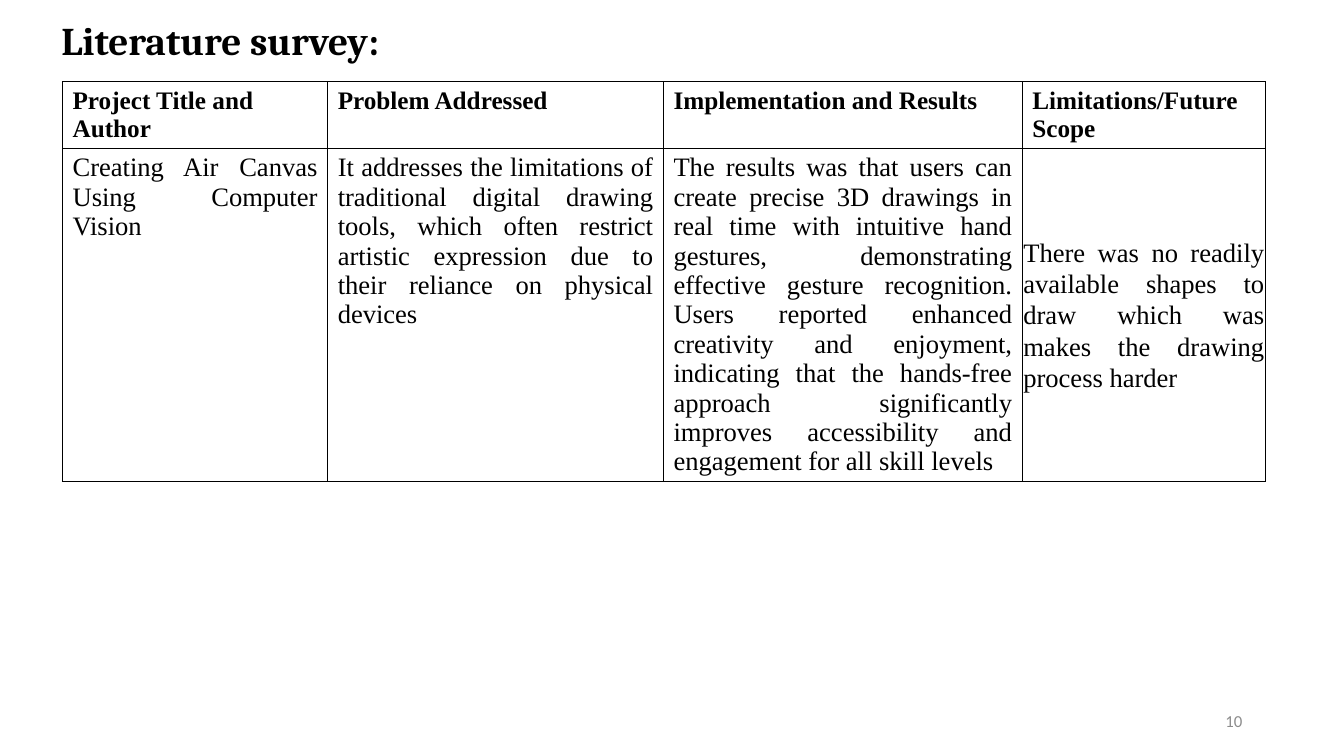
from lxml.etree import SubElement
from pptx import Presentation
from pptx.dml.color import RGBColor
from pptx.enum.text import MSO_ANCHOR as ANCHOR, PP_ALIGN as ALIGN
from pptx.oxml.ns import qn
from pptx.util import Inches, Pt

COLORS = {"text": "000000", "border": "000000", "cell": "FFFFFF", "number": "8C8C8C"}
SERIF = "Times New Roman"
COL_WIDTHS = [2.63, 3.33, 3.56, 2.41]
ROW_HEIGHTS = [0.66, 3.31]
HEADERS = ["Project Title and Author", "Problem Addressed",
           "Implementation and Results", "Limitations/Future Scope"]
SURVEY = [
    "Creating Air Canvas Using Computer Vision",
    "It addresses the limitations of traditional digital drawing tools, which often "
    "restrict artistic expression due to their reliance on physical devices",
    "The results was that users can create precise 3D drawings in real time with "
    "intuitive hand gestures, demonstrating effective gesture recognition. Users "
    "reported enhanced creativity and enjoyment, indicating that the hands-free "
    "approach significantly improves accessibility and engagement for all skill levels",
    "There was no readily available shapes to draw which was makes the drawing "
    "process harder",
]


def write(tf, text, font=SERIF, size=18, bold=False, color="text", align=ALIGN.LEFT):
    tf.word_wrap = True
    p = tf.paragraphs[0]
    p.alignment = align
    r = p.add_run()
    r.text = text
    r.font.name = font
    r.font.size = Pt(size)
    r.font.bold = bold
    r.font.color.rgb = RGBColor.from_string(COLORS[color])
    return p


def add_label(slide, box, text, anchor=ANCHOR.TOP, **fmt):
    sp = slide.shapes.add_textbox(*map(Inches, box))
    sp.text_frame.vertical_anchor = anchor
    write(sp.text_frame, text, **fmt)


def style_cell(cell):
    tcPr = cell._tc.get_or_add_tcPr()
    for side in ("lnL", "lnR", "lnT", "lnB"):
        ln = SubElement(tcPr, qn(f"a:{side}"), w=str(Pt(1)))
        fill = SubElement(ln, qn("a:solidFill"))
        SubElement(fill, qn("a:srgbClr"), val=COLORS["border"])
    cell.fill.solid()
    cell.fill.fore_color.rgb = RGBColor.from_string(COLORS["cell"])


def add_survey_table(slide, left, top):
    size = (sum(COL_WIDTHS), sum(ROW_HEIGHTS))
    table = slide.shapes.add_table(len(ROW_HEIGHTS), len(COL_WIDTHS),
                                   *map(Inches, (left, top, *size))).table
    table.horz_banding = False
    table.first_row = False
    for row, height in zip(table.rows, ROW_HEIGHTS):
        row.height = Inches(height)
    for i, width in enumerate(COL_WIDTHS):
        table.columns[i].width = Inches(width)
        header, body = table.cell(0, i), table.cell(1, i)
        style_cell(header)
        style_cell(body)
        write(header.text_frame, HEADERS[i], bold=True)
        p = write(body.text_frame, SURVEY[i], size=19, align=ALIGN.JUSTIFY)
    body.vertical_anchor = ANCHOR.MIDDLE
    body.margin_left = body.margin_right = Inches(0.01)
    body.margin_top = body.margin_bottom = Inches(0.01)
    p.line_spacing = 1.07
    p.space_after = Pt(8)


def build_survey_slide(prs):
    slide = prs.slides.add_slide(prs.slide_layouts[6])
    add_survey_table(slide, 0.62, 0.81)
    add_label(slide, (0.51, 0.11, 3.64, 0.57), "Literature survey:",
              font="Cambria", size=28, bold=True)
    add_label(slide, (9.42, 6.95, 3, 0.4), "10", anchor=ANCHOR.MIDDLE,
              font="Calibri", size=12, color="number", align=ALIGN.RIGHT)


def main():
    prs = Presentation()
    prs.slide_width = Inches(13.33)
    prs.slide_height = Inches(7.5)
    build_survey_slide(prs)
    prs.save("out.pptx")


if __name__ == "__main__":
    main()
